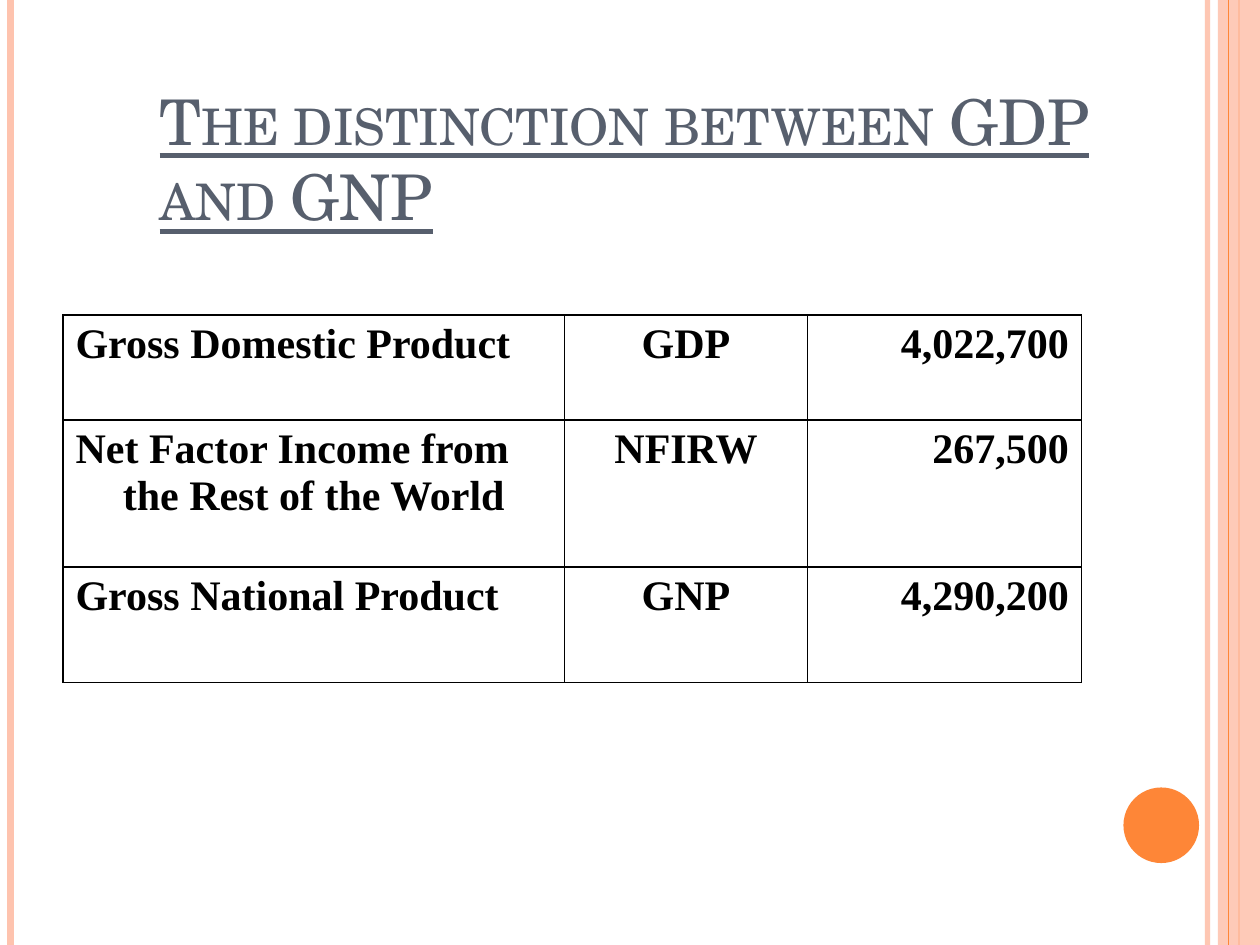
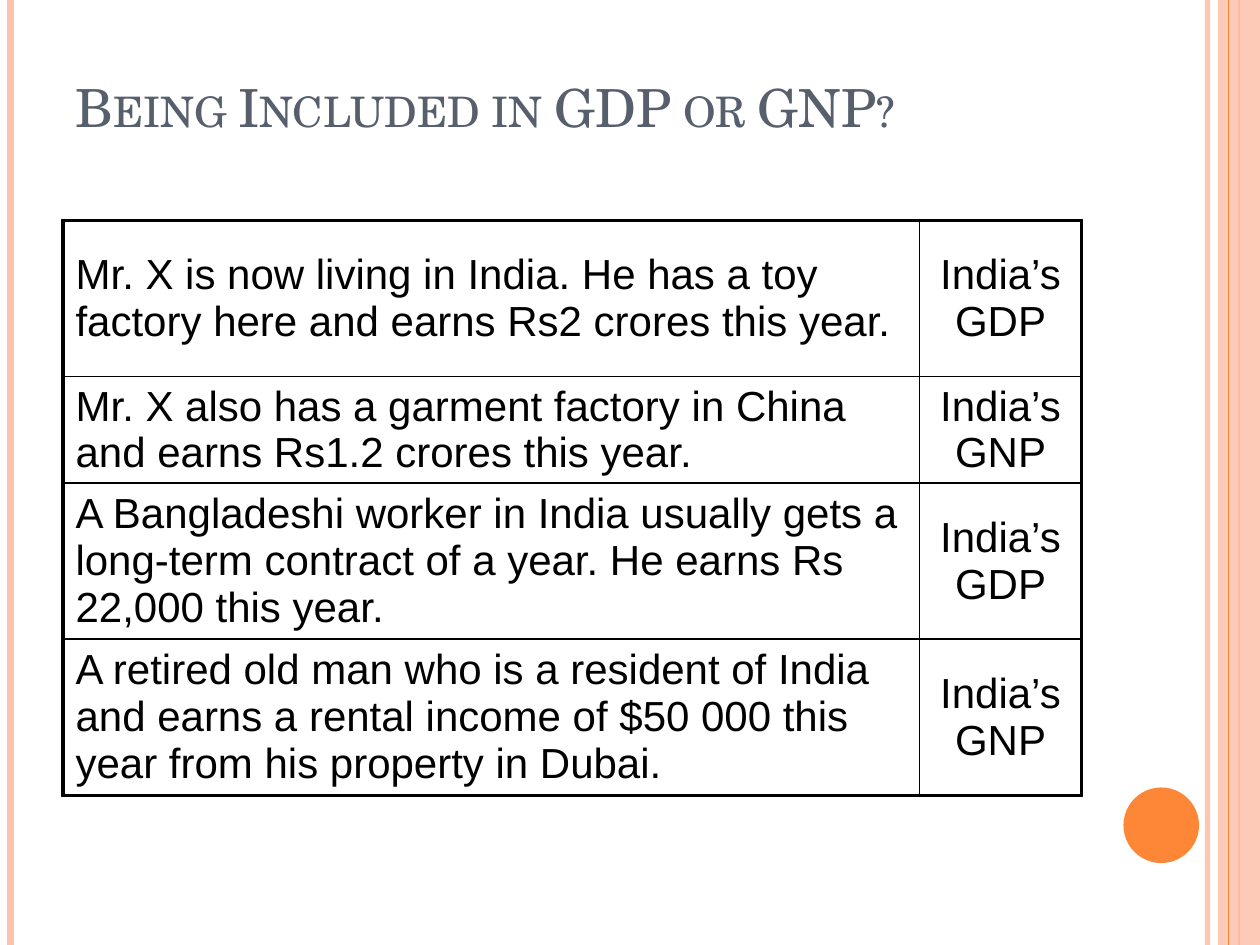
"""Build two slides on the distinction between GDP and GNP."""
import dataclasses

import lxml.etree
import pptx
import pptx.dml.color
import pptx.enum.shapes
import pptx.enum.text
import pptx.oxml.ns
import pptx.util

Pt = pptx.util.Pt
qn = pptx.oxml.ns.qn
RGB = pptx.dml.color.RGBColor.from_string
ALIGN = pptx.enum.text.PP_ALIGN
ANCHOR = pptx.enum.text.MSO_ANCHOR
SHAPE = pptx.enum.shapes.MSO_SHAPE


@dataclasses.dataclass(frozen=True)
class Theme:
    peach: str = "FEC3AE"
    orange: str = "FE8637"
    slate: str = "575F6D"
    ink: str = "000000"
    title_font: str = "TeX Gyre Schola"
    table_size: float = 24
    thin: float = 1
    thick: float = 2.25


theme = Theme()


def set_alpha(element, percent):
    for color in element.iter(qn("a:srgbClr")):
        lxml.etree.SubElement(color, qn("a:alpha"), val=str(percent * 1000))


def add_border(cell, side, width):
    properties = cell._tc.get_or_add_tcPr()
    edge = lxml.etree.SubElement(properties, qn("a:ln" + side), w=str(Pt(width)))
    fill = lxml.etree.SubElement(edge, qn("a:solidFill"))
    lxml.etree.SubElement(fill, qn("a:srgbClr"), val=theme.ink)


topics = [
    dict(
        title="The distinction between GDP and GNP",
        title_box=(84, 24, 594, 113), title_size=36, underline=True,
        top=180, columns=(286.5, 139, 156.5), heights=(60, 84, 66),
        font="Times New Roman", bold=True, hanging=27, outline=theme.thin,
        anchor=ANCHOR.TOP, aligns=(ALIGN.LEFT, ALIGN.CENTER, ALIGN.RIGHT),
        rows=[
            ("Gross Domestic Product", "GDP", "4,022,700"),
            ("Net Factor Income from the Rest of the World", "NFIRW", "267,500"),
            ("Gross National Product", "GNP", "4,290,200"),
        ],
    ),
    dict(
        title="Being Included in GDP or GNP?",
        title_box=(36, 12, 594, 70.5), title_size=30, underline=False,
        top=126, columns=(489.5, 92.5), heights=(89.25, 60.75, 89.25, 89.25),
        font="Arial", bold=False, hanging=0, outline=theme.thick,
        anchor=ANCHOR.MIDDLE, aligns=(ALIGN.LEFT, ALIGN.CENTER),
        rows=[
            ("Mr. X is now living in India. He has a toy factory here and earns "
             "Rs2 crores this year.", "India’s GDP"),
            ("Mr. X also has a garment factory in China and earns Rs1.2 crores "
             "this year.", "India’s GNP"),
            ("A Bangladeshi worker in India usually gets a long-term contract of "
             "a year. He earns Rs 22,000 this year.", "India’s GDP"),
            ("A retired old man who is a resident of India and earns a rental "
             "income of $50 000 this year from his property in Dubai.",
             "India’s GNP"),
        ],
    ),
]

deck = pptx.Presentation()
deck.slide_width, deck.slide_height = Pt(720), Pt(540)
layout = deck.slide_layouts[5]
for placeholder in list(layout.placeholders)[1:]:
    placeholder.element.getparent().remove(placeholder.element)
slides = [deck.slides.add_slide(layout) for topic in topics]

canvas = slides[0].shapes
decor = []
for x, color, width, opacity in [
    (690, theme.peach, 3, 93),
    (6, theme.peach, 4.5, 100),
    (708, theme.orange, 1.5, 100),
    (702, theme.orange, 0.75, 100),
]:
    stripe = canvas.add_connector(
        pptx.enum.shapes.MSO_CONNECTOR.STRAIGHT, Pt(x), 0, Pt(x), Pt(540))
    stripe.line.color.rgb = RGB(color)
    stripe.line.width = Pt(width)
    set_alpha(stripe.element, opacity)
    lxml.etree.SubElement(stripe.element.spPr, qn("a:effectLst"))
    decor.append(stripe)

for kind, box, color, opacity in [
    (SHAPE.RECTANGLE, (696, 0, 24, 540), theme.peach, 87),
    (SHAPE.OVAL, (642, 450, 43.2, 43.2), theme.orange, 100),
]:
    accent = canvas.add_shape(kind, *map(Pt, box))
    accent.fill.solid()
    accent.fill.fore_color.rgb = RGB(color)
    accent.line.fill.background()
    accent.shadow.inherit = False
    set_alpha(accent.element.spPr, opacity)
    decor.append(accent)

side_band = decor.pop(4)
decor.insert(3, side_band)
for position, ornament in enumerate(decor, start=2):
    layout.element.cSld.spTree.insert(position, ornament.element)

for slide, topic in zip(slides, topics):
    heading = slide.shapes.title
    heading.left, heading.top, heading.width, heading.height = map(
        Pt, topic["title_box"])
    heading.text_frame.text = topic["title"]
    heading.text_frame.word_wrap = True
    heading.text_frame.auto_size = pptx.enum.text.MSO_AUTO_SIZE.NONE
    heading.text_frame.vertical_anchor = ANCHOR.BOTTOM
    line = heading.text_frame.paragraphs[0]
    line.alignment = ALIGN.LEFT
    font = line.runs[0].font
    font.name, font.size = theme.title_font, Pt(topic["title_size"])
    font.color.rgb = RGB(theme.slate)
    font.underline = topic["underline"]
    line.runs[0]._r.get_or_add_rPr().set("cap", "small")

    rows, columns, heights = topic["rows"], topic["columns"], topic["heights"]
    accounts = slide.shapes.add_table(
        len(rows), len(columns), Pt(36), Pt(topic["top"]),
        Pt(sum(columns)), Pt(sum(heights))).table
    accounts.first_row = accounts.horz_banding = False
    for column, width in zip(accounts.columns, columns):
        column.width = Pt(width)
    for r, (height, entries) in enumerate(zip(heights, rows)):
        accounts.rows[r].height = Pt(height)
        for c, entry in enumerate(entries):
            cell = accounts.cell(r, c)
            outer_sides = {
                "L": c == 0, "R": c == len(columns) - 1,
                "T": r == 0, "B": r == len(rows) - 1,
            }
            for side, is_outer in outer_sides.items():
                add_border(cell, side, topic["outline"] if is_outer else theme.thin)
            cell.fill.background()
            cell.vertical_anchor = topic["anchor"]
            cell.text_frame.text = entry
            paragraph = cell.text_frame.paragraphs[0]
            paragraph.alignment = topic["aligns"][c]
            indents = paragraph._p.get_or_add_pPr()
            indents.set("marL", str(Pt(topic["hanging"])))
            indents.set("indent", str(-Pt(topic["hanging"])))
            font = paragraph.runs[0].font
            font.name, font.size = topic["font"], Pt(theme.table_size)
            font.bold = topic["bold"]
            font.color.rgb = RGB(theme.ink)

deck.save("out.pptx")
